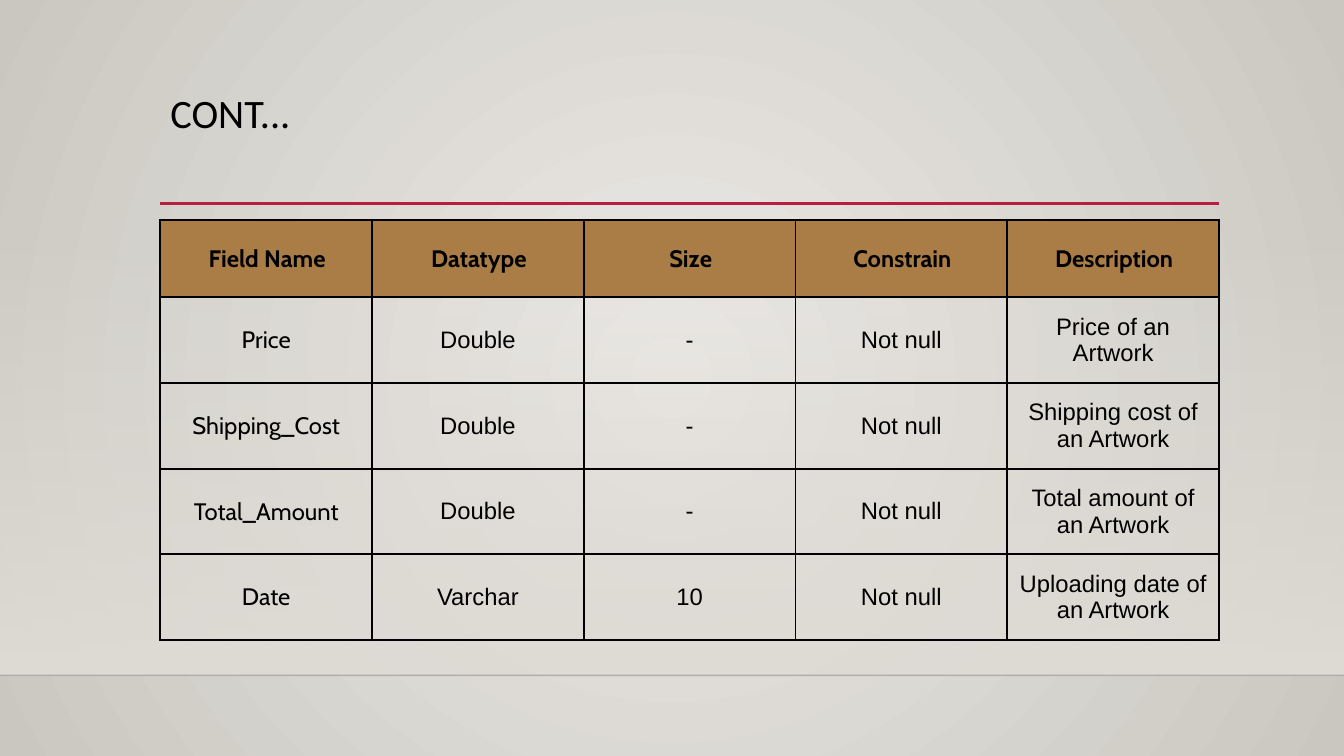
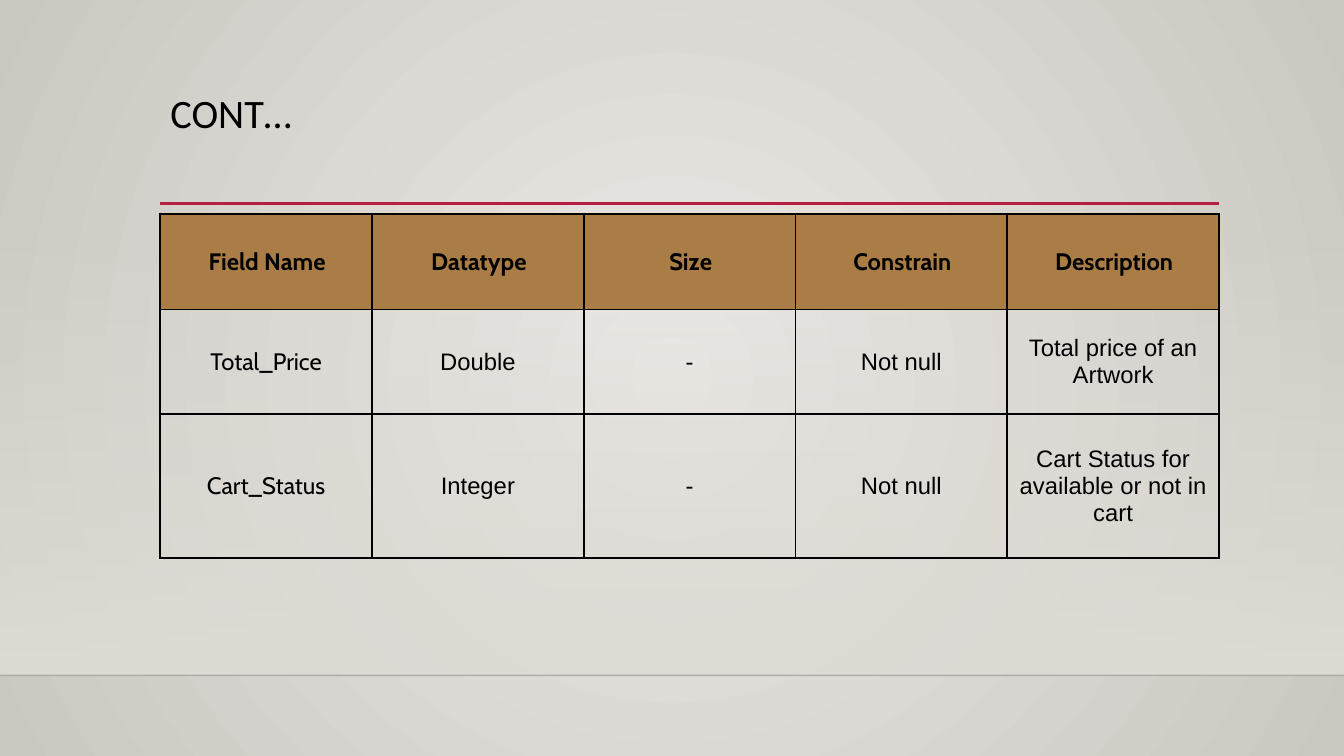
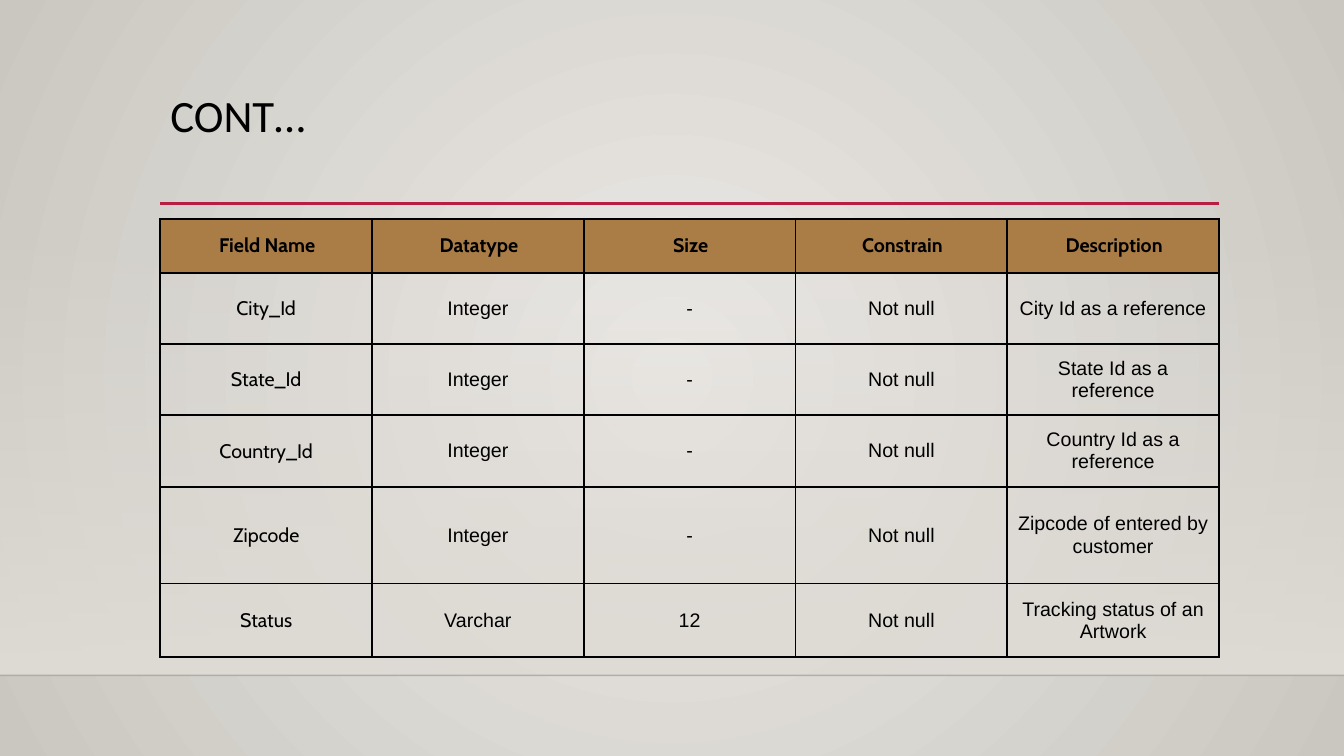
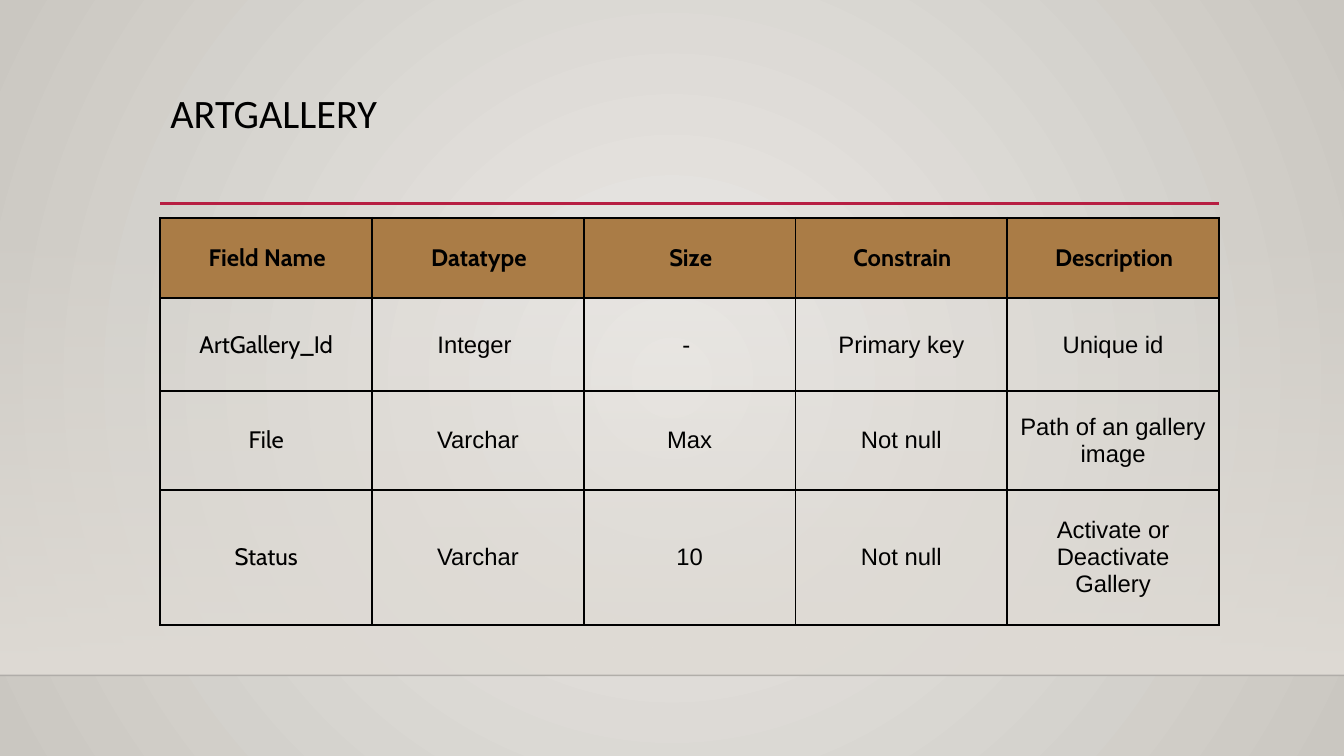
from lxml.etree import SubElement
from pptx import Presentation
from pptx.dml.color import RGBColor
from pptx.enum.shapes import MSO_CONNECTOR, MSO_SHAPE
from pptx.enum.text import MSO_ANCHOR, MSO_AUTO_SIZE, PP_ALIGN
from pptx.oxml.ns import qn
from pptx.util import Inches, Pt

WIDTH, HEIGHT = 13.33, 7.5
LEFT, CONTENT_WIDTH = 1.59, 10.5
BAND_TOP, FLOOR = 2.21, 6.7
RULE_TOP = 2.02
BLACK, HEADER_FILL, RULE_COLOR, BAND_COLOR = "000000", "AA7C46", "B71E42", "DFDBD5"
BACKGROUND_STOPS = ("ECEAE7", "CAC7C1")
TITLE_FONT, FIELD_FONT, BODY_FONT = "Calibri", "Cabin", "Arial"
BORDER_WIDTH = 1.5
HEADINGS = ("Field Name", "Datatype", "Size", "Constrain", "Description")

PAGES = (
    {"title": "CONT...", "title_size": 28.8, "top": 2.18, "size": 17, "inset": 0.1,
     "heights": (0.77, 0.85, 0.85, 0.85, 0.85),
     "rows": (
         ("Price", "Double", "-", "Not null", "Price of an Artwork"),
         ("Shipping_Cost", "Double", "-", "Not null", "Shipping cost of an Artwork"),
         ("Total_Amount", "Double", "-", "Not null", "Total amount of an Artwork"),
         ("Date", "Varchar", "10", "Not null", "Uploading date of an Artwork"))},
    {"title": "CONT…", "title_size": 28.8, "top": 2.12, "size": 17, "inset": 0.1,
     "heights": (0.95, 1.04, 1.43),
     "rows": (
         ("Total_Price", "Double", "-", "Not null", "Total price of an Artwork"),
         ("Cart_Status", "Integer", "-", "Not null",
          "Cart Status for available or not in cart"))},
    {"title": "CONT…", "title_size": 32, "top": 2.17, "size": 14, "inset": 0.08,
     "heights": (0.54, 0.7, 0.71, 0.71, 0.96, 0.73),
     "rows": (
         ("City_Id", "Integer", "-", "Not null", "City Id as a reference"),
         ("State_Id", "Integer", "-", "Not null", "State Id as a reference"),
         ("Country_Id", "Integer", "-", "Not null", "Country Id as a reference"),
         ("Zipcode", "Integer", "-", "Not null", "Zipcode of entered by customer"),
         ("Status", "Varchar", "12", "Not null", "Tracking status of an Artwork"))},
    {"title": "ARTGALLERY", "title_size": 28.8, "top": 2.16, "size": 17, "inset": 0.1,
     "heights": (0.8, 0.92, 0.98, 1.34),
     "rows": (
         ("ArtGallery_Id", "Integer ", "- ", "Primary key", "Unique id"),
         ("File", "Varchar", "Max", "Not null", "Path of an gallery image"),
         ("Status", "Varchar", "10", "Not null", "Activate or Deactivate\nGallery"))},
)


def color(value):
    return RGBColor.from_string(value)


def set_gradient(fill, stops):
    fill.gradient()
    for stop, value in zip(fill.gradient_stops, stops):
        stop.color.rgb = color(value)


def set_alpha(element, percent):
    first_color = next(element.iter(qn("a:srgbClr")))
    SubElement(first_color, qn("a:alpha"), val=str(percent * 1000))


def set_background(master):
    set_gradient(master.background.fill, BACKGROUND_STOPS)
    gradient = next(master.element.iter(qn("a:gradFill")))
    gradient.remove(gradient.find(qn("a:lin")))
    circle = SubElement(gradient, qn("a:path"), path="circle")
    SubElement(circle, qn("a:fillToRect"), l="50000", t="50000", r="50000", b="50000")


def add_rule(page, left, top, width, value, weight):
    rule = page.shapes.add_connector(
        MSO_CONNECTOR.STRAIGHT, Inches(left), Inches(top), Inches(left + width), Inches(top))
    rule.line.color.rgb = color(value)
    rule.line.width = Pt(weight)
    SubElement(rule.element.spPr, qn("a:effectLst"))
    return rule


def add_backdrop(page):
    band = page.shapes.add_shape(
        MSO_SHAPE.RECTANGLE, 0, Inches(BAND_TOP), Inches(WIDTH), Inches(FLOOR - BAND_TOP))
    band.shadow.inherit = False
    band.line.fill.background()
    set_gradient(band.fill, (BAND_COLOR, BAND_COLOR))
    band.fill.gradient_angle = 270
    set_alpha(band.element.spPr, 0)
    floor_line = add_rule(page, 0, FLOOR, WIDTH, "000001", 1)
    set_alpha(floor_line.element.spPr, 20)
    add_rule(page, LEFT, RULE_TOP, CONTENT_WIDTH, RULE_COLOR, 2.5)


def add_span(para, text, font, size, bold=False):
    span = para.add_run()
    span.text = text
    span.font.name = font
    span.font.size = Pt(size)
    span.font.bold = bold
    span.font.color.rgb = color(BLACK)


def set_title(page, text, size):
    title = page.shapes.title
    title.left, title.top = Inches(LEFT), Inches(0.88)
    title.width, title.height = Inches(CONTENT_WIDTH), Inches(1.15)
    frame = title.text_frame
    frame.auto_size = MSO_AUTO_SIZE.NONE
    frame.word_wrap = True
    frame.vertical_anchor = MSO_ANCHOR.TOP
    para = frame.paragraphs[0]
    para.alignment = PP_ALIGN.LEFT
    para.line_spacing = 0.9
    add_span(para, text, TITLE_FONT, size)


def add_borders(cell):
    properties = cell._tc.get_or_add_tcPr()
    for side in ("a:lnL", "a:lnR", "a:lnT", "a:lnB"):
        border = SubElement(properties, qn(side), w=str(Pt(BORDER_WIDTH)))
        fill = SubElement(border, qn("a:solidFill"))
        SubElement(fill, qn("a:srgbClr"), val=BLACK)


def fill_cell(cell, text, font, size, inset, header):
    cell.vertical_anchor = MSO_ANCHOR.MIDDLE
    cell.margin_left = cell.margin_right = Inches(inset)
    cell.margin_top = cell.margin_bottom = Inches(inset)
    add_borders(cell)
    if header:
        cell.fill.solid()
        cell.fill.fore_color.rgb = color(HEADER_FILL)
    else:
        cell.fill.background()
    frame = cell.text_frame
    for index, line in enumerate(text.split("\n")):
        para = frame.add_paragraph() if index else frame.paragraphs[0]
        para.alignment = PP_ALIGN.CENTER
        if header:
            para._p.get_or_add_pPr().set("marL", str(Inches(0.02)))
        add_span(para, line, font, size, header)


def add_field_table(page, left, top, width, heights, rows, size, inset):
    table = page.shapes.add_table(
        len(heights), len(HEADINGS), Inches(left), Inches(top),
        Inches(width), Inches(sum(heights))).table
    table.first_row = table.horz_banding = False
    for column in table.columns:
        column.width = Inches(width / len(HEADINGS))
    for row, height in zip(table.rows, heights):
        row.height = Inches(height)
    for row_index, texts in enumerate((HEADINGS, *rows)):
        header = row_index == 0
        for column_index, text in enumerate(texts):
            font = FIELD_FONT if header or column_index == 0 else BODY_FONT
            fill_cell(table.cell(row_index, column_index), text, font, size, inset, header)


def add_table_page(deck, content):
    page = deck.slides.add_slide(deck.slide_layouts.get_by_name("Title Only"))
    set_title(page, content["title"], content["title_size"])
    add_backdrop(page)
    add_field_table(page, LEFT, content["top"], CONTENT_WIDTH, content["heights"],
                    content["rows"], content["size"], content["inset"])


def main():
    deck = Presentation()
    deck.slide_width, deck.slide_height = Inches(WIDTH), Inches(HEIGHT)
    set_background(deck.slide_master)
    for content in PAGES:
        add_table_page(deck, content)
    deck.save("out.pptx")


if __name__ == "__main__":
    main()
